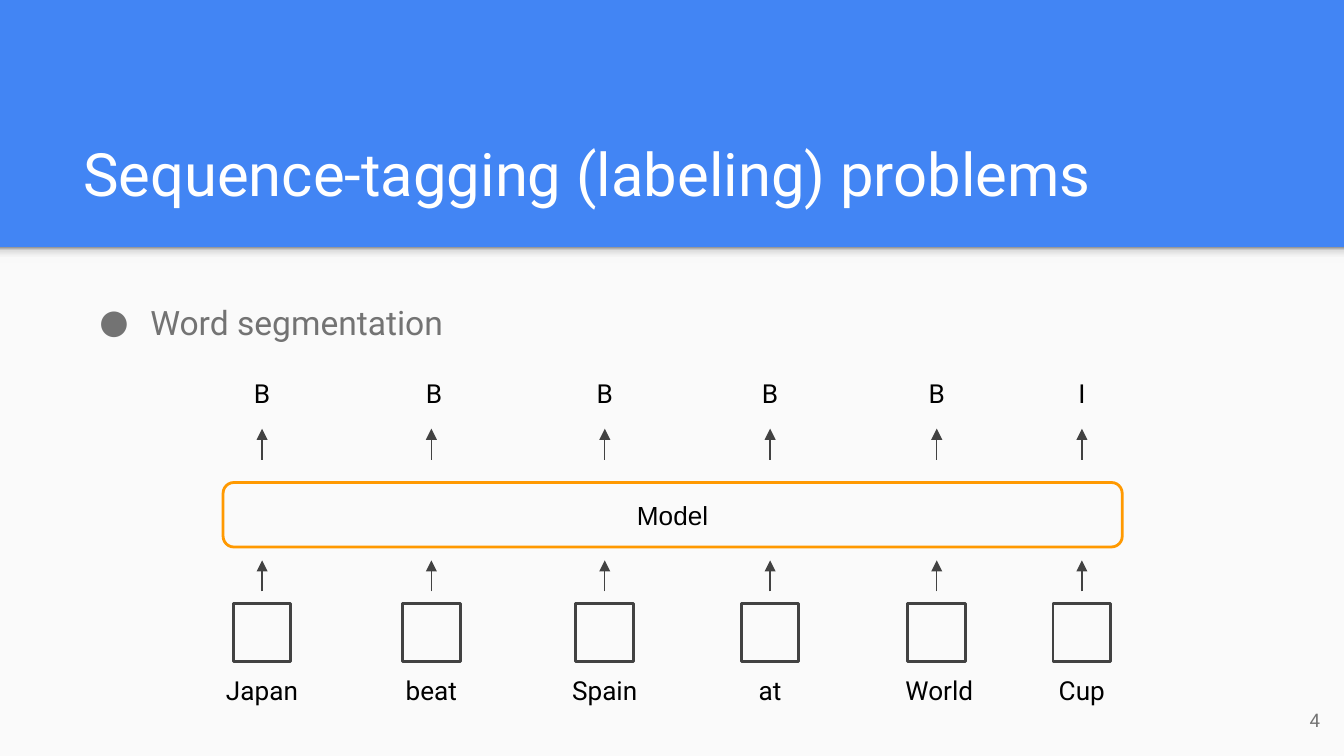
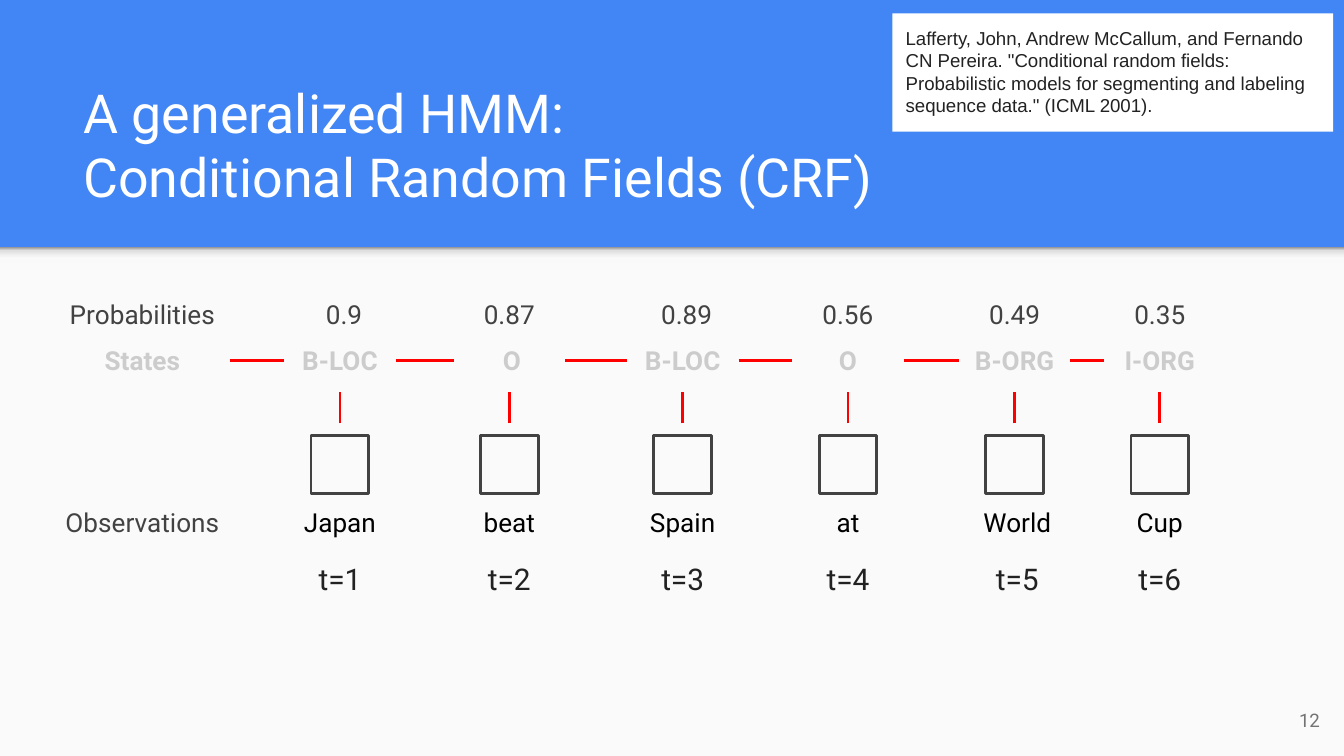
from dataclasses import dataclass

from lxml.etree import SubElement
from pptx import Presentation
from pptx.dml.color import RGBColor
from pptx.enum.shapes import MSO_CONNECTOR, MSO_SHAPE
from pptx.enum.text import MSO_ANCHOR, MSO_AUTO_SIZE, PP_ALIGN
from pptx.oxml import parse_xml
from pptx.oxml.ns import nsdecls, qn
from pptx.util import Inches, Pt


@dataclass(frozen=True)
class Theme:
    blue: str = "4285F4"
    panel: str = "FAFAFA"
    white: str = "FFFFFF"
    black: str = "000000"
    dark: str = "424242"
    ink: str = "222222"
    grey: str = "737373"
    pale: str = "CCCCCC"
    red: str = "FF0000"
    orange: str = "FF9900"
    font: str = "Roboto"
    plain_font: str = "Arial"
    title: float = 32
    small_title: float = 28.8
    body: float = 18
    step: float = 16
    label: float = 14
    small: float = 10
    thin: float = 0.75
    thick: float = 1.5


THEME = Theme()
SLIDE_WIDTH = Inches(10)
SLIDE_HEIGHT = SLIDE_WIDTH * 9 // 16
SHADOW_STOPS = [(0, "F9F9F9"), (36, "F9F9F9"), (80, "DEDEDE"), (100, "999999")]
COLUMNS = [1.95, 3.21, 4.5, 5.73, 6.97, 8.05]
CRF_SHIFT = 0.58
BOX = 0.43
LABEL_WIDTH = 0.83
LABEL_HEIGHT = 0.44
ARROW = 0.23

WORDS = ["Japan", "beat", "Spain", "at", "World", "Cup"]
WORD_NUDGE = {4: 0.02}
TAGGING = {
    "title": "Sequence-tagging (labeling) problems",
    "bullet": "Word segmentation",
    "tags": ["B", "B", "B", "B", "B", "I"],
    "model": "Model",
    "number": "4",
}
CRF = {
    "title": "A generalized HMM:\nConditional Random Fields (CRF)",
    "citation": "Lafferty, John, Andrew McCallum, and Fernando CN Pereira. "
    "\"Conditional random fields: Probabilistic models for segmenting and "
    "labeling sequence data.\" (ICML 2001).",
    "probabilities": ["0.9", "0.87", "0.89", "0.56", "0.49", "0.35"],
    "states": ["B-LOC", "O", "B-LOC", "O", "B-ORG", "I-ORG"],
    "row_names": [
        ("Probabilities", 2.12, 1.3, THEME.dark, False),
        ("States", 2.46, 0.9, THEME.pale, True),
        ("Observations", 3.67, 1.43, THEME.dark, False),
    ],
    "number": "12",
}
ROW_NAME_CENTER = 1.06


def apply(target, values):
    for name, value in values.items():
        setattr(target, name, value)


def write(shape, text, size=THEME.label, color=THEME.black, font=THEME.font,
          bold=False, align=PP_ALIGN.CENTER, anchor=MSO_ANCHOR.TOP):
    frame = shape.text_frame
    frame.text = text
    margins = dict.fromkeys(
        ["margin_left", "margin_top", "margin_right", "margin_bottom"], Inches(0.1))
    apply(frame, {"word_wrap": True, "auto_size": MSO_AUTO_SIZE.NONE,
                  "vertical_anchor": anchor, **margins})
    for paragraph in frame.paragraphs:
        paragraph.alignment = align
        for run in paragraph.runs:
            apply(run.font, {"name": font, "size": Pt(size), "bold": bold})
            run.font.color.rgb = RGBColor.from_string(color)


def add_text(slide, bounds, text, **style):
    shape = slide.shapes.add_textbox(*map(Inches, bounds))
    write(shape, text, **style)
    return shape


def add_box(slide, bounds, fill=None, line=None, kind=MSO_SHAPE.RECTANGLE):
    shape = slide.shapes.add_shape(kind, *map(Inches, bounds))
    shape.shadow.inherit = False
    if fill:
        shape.fill.solid()
        shape.fill.fore_color.rgb = RGBColor.from_string(fill)
    else:
        shape.fill.background()
    if line:
        shape.line.color.rgb = RGBColor.from_string(line)
        shape.line.width = Pt(THEME.thick)
    else:
        shape.line.fill.background()
    return shape


def add_line(slide, start, end, color, width, arrow=False):
    line = slide.shapes.add_connector(
        MSO_CONNECTOR.STRAIGHT, *map(Inches, (*start, *end)))
    line.line.color.rgb = RGBColor.from_string(color)
    line.line.width = Pt(width)
    properties = line.element.spPr
    if arrow:
        SubElement(properties.find(qn("a:ln")), qn("a:tailEnd"), type="triangle")
    SubElement(properties, qn("a:effectLst"))


def add_row(slide, centers, top, texts, nudges={}, width=LABEL_WIDTH, **style):
    for column, (center, text) in enumerate(zip(centers, texts)):
        left = center + nudges.get(column, 0) - width / 2
        add_text(slide, (left, top, width, LABEL_HEIGHT), text, **style)


def add_observations(slide, centers, top):
    for center in centers:
        add_box(slide, (center - BOX / 2, top, BOX, BOX), line=THEME.dark)
    add_row(slide, centers, top + BOX, WORDS, WORD_NUDGE)


def add_ticks(slide, centers, bottom, color, width, arrow=False):
    for center in centers:
        add_line(slide, (center, bottom), (center, bottom - ARROW), color, width, arrow)


def add_bullet(paragraph):
    paragraph.line_spacing = 1.15
    properties = paragraph._p.get_or_add_pPr()
    for name, value in {"marL": Inches(0.5), "indent": Inches(-0.38)}.items():
        properties.set(name, str(value))
    color = SubElement(properties, qn("a:buClr"))
    SubElement(color, qn("a:srgbClr"), val=THEME.grey)
    SubElement(properties, qn("a:buFont"), typeface=THEME.font)
    SubElement(properties, qn("a:buChar"), char="●")


def decorate_layout(presentation, layout, slide):
    background = presentation.slide_master.background.fill
    background.solid()
    background.fore_color.rgb = RGBColor.from_string(THEME.blue)
    panel = add_box(slide, (0, 1.84, 10, 3.79), fill=THEME.panel)
    shadow = add_box(slide, (0, 1.84, 10, 0.12), fill=THEME.panel)
    stops = "".join(
        f'<a:gs pos="{position * 1000}"><a:srgbClr val="{color}"/></a:gs>'
        for position, color in SHADOW_STOPS)
    gradient = parse_xml(
        f'<a:gradFill {nsdecls("a")}><a:gsLst>{stops}</a:gsLst>'
        '<a:lin ang="16200000" scaled="0"/></a:gradFill>')
    properties = shadow.element.spPr
    properties.replace(properties.find(qn("a:solidFill")), gradient)
    for index, shape in enumerate([panel, shadow], start=2):
        layout.shapes.element.insert(index, shape.element)


def start_slide(presentation, layout, content, top, height, size):
    slide = presentation.slides.add_slide(layout)
    title = slide.shapes.title
    apply(title, {"left": Inches(0.52), "top": Inches(top),
                  "width": Inches(8.99), "height": Inches(height)})
    write(title, content["title"], size=size, color=THEME.white,
          align=PP_ALIGN.LEFT, anchor=MSO_ANCHOR.BOTTOM)
    add_text(slide, (9.32, 5.14, 0.6, 0.43), content["number"], size=THEME.small,
             color=THEME.grey, align=PP_ALIGN.RIGHT, anchor=MSO_ANCHOR.MIDDLE)
    return slide


def build_tagging(presentation, layout):
    slide = start_slide(presentation, layout, TAGGING, 0.81, 0.84, THEME.title)
    bullet = add_text(slide, (0.52, 2.1, 8.99, 0.57), TAGGING["bullet"],
                      size=THEME.body, color=THEME.grey, align=PP_ALIGN.LEFT)
    add_bullet(bullet.text_frame.paragraphs[0])
    add_observations(slide, COLUMNS, 4.49)
    model = add_box(slide, (1.66, 3.59, 6.69, 0.48), line=THEME.orange,
                    kind=MSO_SHAPE.ROUNDED_RECTANGLE)
    write(model, TAGGING["model"], font=THEME.plain_font, anchor=MSO_ANCHOR.MIDDLE)
    for bottom in (4.4, 3.42):
        add_ticks(slide, COLUMNS, bottom, THEME.dark, THEME.thin, arrow=True)
    add_row(slide, COLUMNS, 2.71, TAGGING["tags"], {1: 0.02})
    return slide


def build_crf(presentation, layout):
    slide = start_slide(presentation, layout, CRF, 0.47, 1.18, THEME.small_title)
    centers = [center + CRF_SHIFT for center in COLUMNS]
    for text, top, width, color, bold in CRF["row_names"]:
        left = ROW_NAME_CENTER - width / 2
        add_text(slide, (left, top, width, LABEL_HEIGHT), text, color=color, bold=bold)
    add_row(slide, centers, 2.12, CRF["probabilities"], {0: 0.03, 2: 0.03},
            width=0.9, color=THEME.dark)
    add_row(slide, centers, 2.46, CRF["states"], {1: 0.02}, color=THEME.pale, bold=True)
    half = LABEL_WIDTH / 2
    starts = [1.71] + [center + half for center in centers]
    for start, center in zip(starts, centers):
        add_line(slide, (start, 2.68), (center - half, 2.68), THEME.red, THEME.thick)
    add_ticks(slide, centers, 3.15, THEME.red, THEME.thick)
    add_observations(slide, centers, 3.24)
    steps = [f"t={step}" for step in range(1, len(WORDS) + 1)]
    add_row(slide, centers, 4.07, steps, WORD_NUDGE, width=0.64,
            size=THEME.step, color=THEME.ink)
    citation = add_box(slide, (6.64, 0.1, 3.28, 0.88), fill=THEME.white)
    write(citation, CRF["citation"], size=THEME.small, color=THEME.ink,
          font=THEME.plain_font, align=PP_ALIGN.LEFT)


def main():
    presentation = Presentation()
    apply(presentation, {"slide_width": SLIDE_WIDTH, "slide_height": SLIDE_HEIGHT})
    layout = presentation.slide_layouts[5]
    tagging = build_tagging(presentation, layout)
    decorate_layout(presentation, layout, tagging)
    build_crf(presentation, layout)
    presentation.save("out.pptx")


if __name__ == "__main__":
    main()
